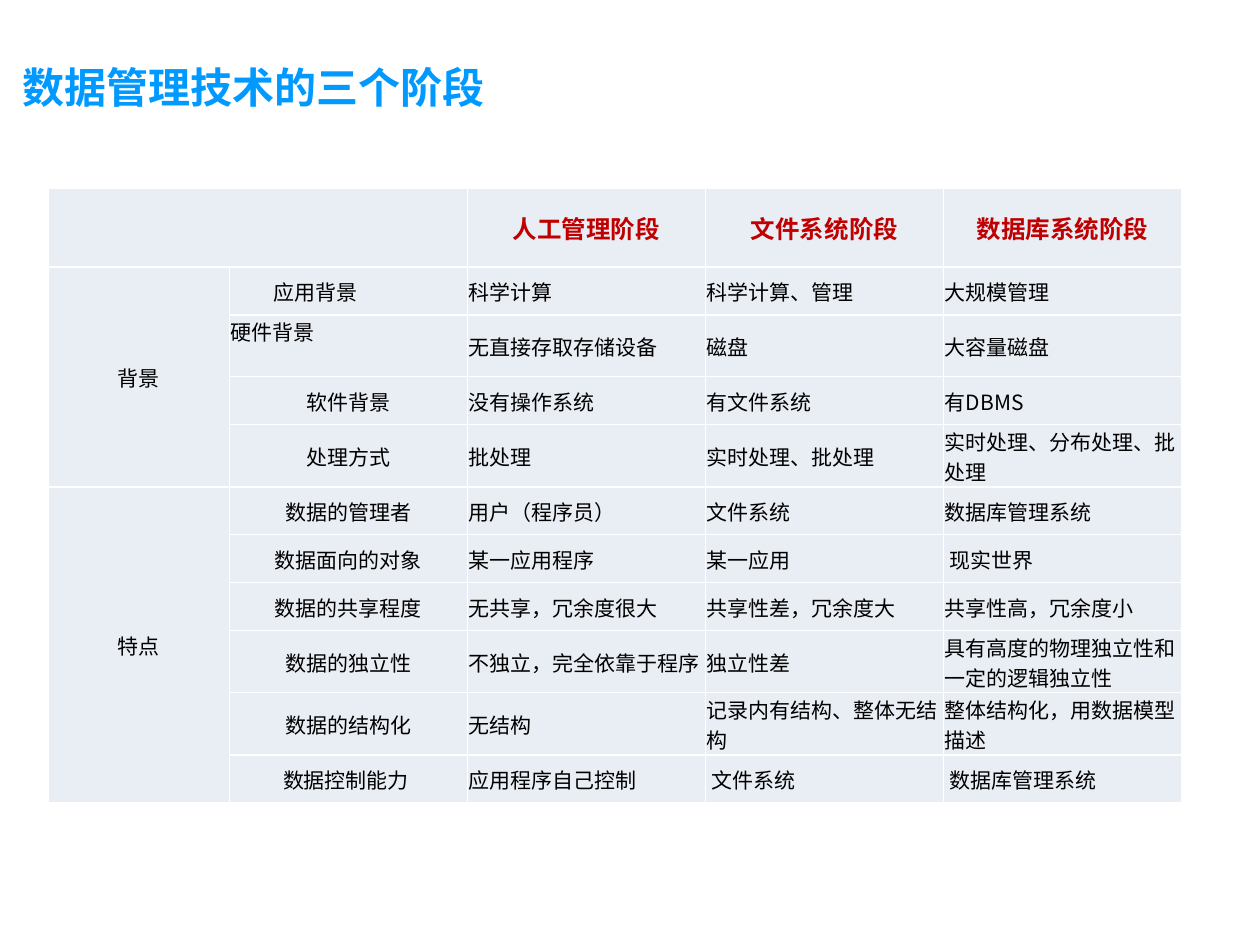
"""Build a slide with a table comparing the three stages of data management."""
from lxml import etree
from pptx import Presentation
from pptx.dml.color import RGBColor
from pptx.enum.text import MSO_ANCHOR, MSO_AUTO_SIZE, PP_ALIGN
from pptx.oxml.ns import qn
from pptx.util import Inches, Pt

TITLE = "数据管理技术的三个阶段"
STAGES = ["人工管理阶段", "文件系统阶段", "数据库系统阶段"]
GROUPS = [
    ("背景", [
        ("应用背景", "科学计算", "科学计算、管理", "大规模管理"),
        ("硬件背景", "无直接存取存储设备", "磁盘", "大容量磁盘"),
        ("软件背景", "没有操作系统", "有文件系统", "有DBMS"),
        ("处理方式", "批处理", "实时处理、批处理", "实时处理、分布处理、批处理"),
    ]),
    ("特点", [
        ("数据的管理者", "用户（程序员）", "文件系统", "数据库管理系统"),
        ("数据面向的对象", "某一应用程序", "某一应用", " 现实世界"),
        ("数据的共享程度", "无共享，冗余度很大", "共享性差，冗余度大", "共享性高，冗余度小"),
        ("数据的独立性", "不独立，完全依靠于程序", "独立性差", "具有高度的物理独立性和一定的逻辑独立性"),
        ("数据的结构化", "无结构", "记录内有结构、整体无结构", "整体结构化，用数据模型描述"),
        ("数据控制能力 ", "应用程序自己控制", " 文件系统", " 数据库管理系统"),
    ]),
]
COLS = [1.44] + [1.89] * 4
HEADER_H, ROW_H, TALL_H = 0.63, 0.38, 0.49
TALL_ROWS = {2, 4, 8, 9}

BLUE = RGBColor(0x00, 0x99, 0xFF)
RED = RGBColor(0xC0, 0x00, 0x00)
BLACK = RGBColor(0x00, 0x00, 0x00)
WHITE = RGBColor(0xFF, 0xFF, 0xFF)
PALE = RGBColor(0xE9, 0xED, 0xF4)
CJK = "Noto Sans CJK SC"
LEFT, CENTER = PP_ALIGN.LEFT, PP_ALIGN.CENTER
TOP, MIDDLE = MSO_ANCHOR.TOP, MSO_ANCHOR.MIDDLE


def put_text(tf, text, size=12, color=BLACK, bold=False, align=CENTER, font=CJK, spacing=None):
    p = tf.paragraphs[0]
    p.alignment = align
    p.line_spacing = spacing
    r = p.add_run()
    r.text = text
    r.font.size, r.font.bold, r.font.name = Pt(size), bold, font
    r.font.color.rgb = color
    etree.SubElement(r.font._element, qn("a:ea"), typeface=CJK)


def style_cell(cell):
    tcPr = cell._tc.get_or_add_tcPr()
    for side in ("lnL", "lnR", "lnT", "lnB"):
        ln = etree.SubElement(tcPr, qn(f"a:{side}"), w=str(Pt(1)))
        fill = etree.SubElement(ln, qn("a:solidFill"))
        etree.SubElement(fill, qn("a:srgbClr"), val=str(WHITE))
    cell.fill.solid()
    cell.fill.fore_color.rgb = PALE
    cell.margin_left = cell.margin_right = cell.margin_top = Inches(0.01)
    cell.margin_bottom = 0
    cell.vertical_anchor = MIDDLE


def add_title(s):
    sp = s.shapes.title
    sp.left, sp.top, sp.width, sp.height = map(Inches, (0.08, 0.24, 5.56, 0.63))
    tf = sp.text_frame
    tf.word_wrap, tf.auto_size, tf.vertical_anchor = True, MSO_AUTO_SIZE.NONE, TOP
    put_text(tf, TITLE, size=24, color=BLUE, bold=True, align=LEFT, font="Arial", spacing=1.5)


def add_stage_table(s):
    n = 1 + sum(len(rows) for _, rows in GROUPS)
    heights = [HEADER_H] + [TALL_H if i in TALL_ROWS else ROW_H for i in range(1, n)]
    tbl = s.shapes.add_table(n, len(COLS), Inches(0.38), Inches(1.49),
                             Inches(sum(COLS)), Inches(sum(heights))).table
    tbl.first_row = tbl.horz_banding = False
    for col, w in zip(tbl.columns, COLS):
        col.width = Inches(w)
    for row, h in zip(tbl.rows, heights):
        row.height = Inches(h)
    for cell in tbl.iter_cells():
        style_cell(cell)

    tbl.cell(0, 0).merge(tbl.cell(0, 1))
    for c, stage in enumerate(STAGES, 2):
        put_text(tbl.cell(0, c).text_frame, stage, size=14, color=RED, bold=True)
    first = 1
    for group, rows in GROUPS:
        tbl.cell(first, 0).merge(tbl.cell(first + len(rows) - 1, 0))
        put_text(tbl.cell(first, 0).text_frame, group)
        for i, values in enumerate(rows, first):
            for c, value in enumerate(values, 1):
                align = CENTER if c == 1 and value != "硬件背景" else LEFT
                put_text(tbl.cell(i, c).text_frame, value, align=align)
        first += len(rows)
    tbl.cell(1, 1).margin_right = Inches(0.53)
    tbl.cell(2, 1).vertical_anchor = TOP


def main():
    prs = Presentation()
    prs.slide_width, prs.slide_height = Inches(10), Inches(7.5)
    s = prs.slides.add_slide(prs.slide_layouts[5])
    add_stage_table(s)
    add_title(s)
    prs.save("out.pptx")


if __name__ == "__main__":
    main()
